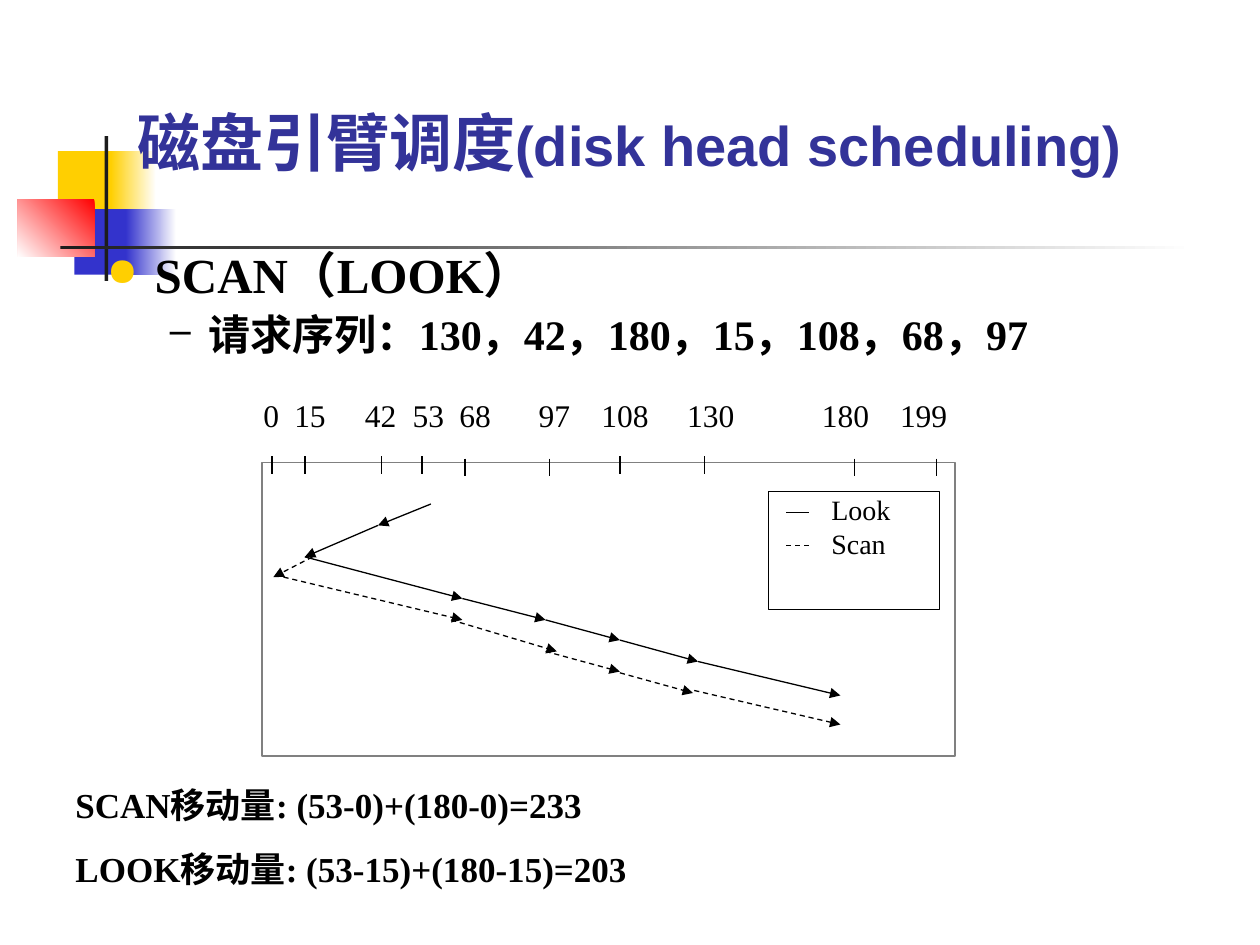
import dataclasses
import itertools

import lxml.etree
import pptx
import pptx.dml.color
import pptx.enum.dml
import pptx.enum.shapes
import pptx.enum.text
import pptx.oxml.ns
import pptx.util

Inches = pptx.util.Inches
Pt = pptx.util.Pt
Align = pptx.enum.text.PP_ALIGN


@dataclasses.dataclass(frozen=True)
class Theme:
    head: str = "Arial"
    body: str = "Times New Roman"
    ink: str = "000000"
    title: str = "333399"
    gold: str = "FFCF01"
    blue: str = "3333CC"
    red: str = "FF0000"
    dark: str = "1C1C1C"
    white: str = "FFFFFF"
    frame: str = "808080"
    big: int = 36
    large: int = 32
    item: int = 28
    sub: int = 24
    note: int = 20
    scale: int = 18
    key: int = 16
    thin: float = 0.75


def color(code):
    return pptx.dml.color.RGBColor.from_string(code)


def child(node, tag, **attrs):
    return lxml.etree.SubElement(node, pptx.oxml.ns.qn(tag), attrs)


def write(para, text, size, font=Theme.body, ink=Theme.ink, bold=False,
          align=None, before=0, lead=None, left=0, hang=0, mark=None, tabs=()):
    """Add a run to para; mark is (char, colour, percent), tabs are centred stops."""
    props = para._p.get_or_add_pPr()
    if left:
        props.set("marL", str(Inches(left)))
        props.set("indent", str(-Inches(hang)))
    if mark:
        char, tint, part = mark
        child(child(props, "a:buClr"), "a:srgbClr", val=tint)
        child(props, "a:buSzPct", val=str(part * 1000))
        child(props, "a:buChar", char=char)
    if tabs:
        stops = child(props, "a:tabLst")
        for stop in tabs:
            child(stops, "a:tab", pos=str(Inches(stop)), algn="ctr")
    if align is not None:
        para.alignment = align
    if before:
        para.space_before = Pt(before)
    if lead:
        para.line_spacing = lead
    run = para.add_run()
    run.text = text
    run.font.name = font
    run.font.size = Pt(size)
    run.font.bold = bold
    run.font.color.rgb = color(ink)


class Deck:
    """Holds the theme and the current slide."""

    def __init__(self):
        self.theme = Theme()
        self.show = pptx.Presentation()
        self.show.slide_width = Inches(10)
        self.show.slide_height = Inches(7.5)
        self.slide = self.show.slides.add_slide(self.show.slide_layouts[5])

    def rect(self, box, fill=None, fade=None, angle=0, line=None):
        shape = self.slide.shapes.add_shape(
            pptx.enum.shapes.MSO_SHAPE.RECTANGLE, *map(Inches, box))
        shape.shadow.inherit = False
        if fade:
            shape.fill.gradient()
            shape.fill.gradient_angle = angle
            for stop, code in zip(shape.fill.gradient_stops, fade):
                stop.color.rgb = color(code)
        elif fill:
            shape.fill.solid()
            shape.fill.fore_color.rgb = color(fill)
        else:
            shape.fill.background()
        if line:
            shape.line.color.rgb = color(line)
            shape.line.width = Pt(self.theme.thin)
        else:
            shape.line.fill.background()
        return shape

    def line(self, start, end, dash=False, arrow=False):
        link = self.slide.shapes.add_connector(
            pptx.enum.shapes.MSO_CONNECTOR.STRAIGHT, *map(Inches, (*start, *end)))
        link.line.color.rgb = color(self.theme.ink)
        link.line.width = Pt(self.theme.thin)
        if dash:
            link.line.dash_style = pptx.enum.dml.MSO_LINE.DASH
        if arrow:
            child(link.line._get_or_add_ln(), "a:tailEnd", type="triangle")
        child(link._element.spPr, "a:effectLst")

    def frame(self, shape, inset=(0.1, 0.05, 0.1, 0.05), anchor="TOP"):
        frame = shape.text_frame
        frame.word_wrap = True
        frame.auto_size = pptx.enum.text.MSO_AUTO_SIZE.NONE
        frame.vertical_anchor = pptx.enum.text.MSO_ANCHOR[anchor]
        (frame.margin_left, frame.margin_top,
         frame.margin_right, frame.margin_bottom) = map(Inches, inset)
        return frame

    def text(self, box, **style):
        shape = self.slide.shapes.add_textbox(*map(Inches, box))
        return self.frame(shape, **style)

    def title(self, box):
        """Place the title in front of what has been drawn so far."""
        shape = self.slide.shapes.title
        shape.left, shape.top, shape.width, shape.height = map(Inches, box)
        self.slide.shapes._spTree.append(shape._element)
        return self.frame(shape, anchor="MIDDLE").paragraphs[0]


def decor(deck):
    t = deck.theme
    deck.rect((0.46, 1.2, 0.48, 0.52), fill=t.gold)
    deck.rect((0.88, 1.2, 0.36, 0.52), fade=(t.gold, t.white))
    deck.rect((0.59, 1.66, 0.46, 0.52), fill=t.blue)
    deck.rect((1, 1.66, 0.4, 0.52), fade=(t.blue, t.white))
    deck.rect((0.14, 1.58, 0.61, 0.46), fade=(t.red, t.white), angle=225)
    deck.rect((0.83, 1.08, 0.03, 1.15), fill=t.dark)
    deck.rect((0.48, 1.95, 9, 0.03), fade=(t.dark, t.white))


def words(deck):
    t = deck.theme
    head = deck.title((0.75, 0.5, 8.5, 1.25))
    for text, size in (("磁盘引臂调度", t.big), ("(disk head scheduling)", t.large)):
        write(head, text, size, font=t.head, ink=t.title, bold=True,
              align=Align.CENTER)

    body = deck.text((0.75, 1.94, 8.66, 0.89))
    write(body.paragraphs[0], "SCAN（LOOK）", t.item, bold=True, lead=0.9,
          left=0.38, hang=0.38, mark=("●", t.gold, 80))
    para = body.add_paragraph()
    para.level = 1
    write(para, "请求序列：130，42，180，15，108，68，97", t.sub, bold=True,
          before=6, lead=0.9, left=0.81, hang=0.31, mark=("–", t.ink, 90))

    sums = deck.text((0.5, 6.17, 9.08, 0.94))
    write(sums.paragraphs[0], "SCAN移动量: (53-0)+(180-0)=233", t.note, bold=True)
    write(sums.add_paragraph(), "LOOK移动量: (53-15)+(180-15)=203", t.note,
          bold=True, before=12.5)


def chart(deck):
    t = deck.theme
    deck.rect((2.08, 3.67, 5.5, 2.33), line=t.frame)
    tracks = (0, 15, 42, 53, 68, 97, 108, 130, 180, 199)
    stops = (0.37, 0.93, 1.31, 1.68, 2.31, 2.87, 3.55, 4.62, 5.24)
    scale = deck.text((2.07, 3.14, 5.49, 0.53), inset=(0.02, 0, 0.02, 0))
    write(scale.paragraphs[0], "\t".join(map(str, tracks)), t.scale, tabs=stops)

    ticks = (2.16, 2.42, 3.03, 3.35, 3.69, 4.36, 4.92, 5.59, 6.78, 7.43)
    for track, x in zip(tracks, ticks):
        top = 3.64 if track in (68, 97, 180, 199) else 3.62
        deck.line((x, top), (x, top + 0.14))

    look = ((3.42, 4), (3, 4.17), (2.42, 4.42), (3.67, 4.75), (4.33, 4.92),
            (4.92, 5.08), (5.54, 5.25), (6.67, 5.52))
    for start, end in itertools.pairwise(look):
        deck.line(start, end, arrow=True)
    scan = (((2.48, 4.42), (2.17, 4.58)), ((2.25, 4.58), (3.67, 4.92)),
            ((3.58, 4.92), (4.42, 5.17)), ((4.33, 5.17), (4.92, 5.33)),
            ((4.92, 5.34), (5.5, 5.5)), ((5.51, 5.48), (6.67, 5.75)))
    for start, end in scan:
        deck.line(start, end, dash=True, arrow=True)


def legend(deck):
    t = deck.theme
    box = deck.rect((6.1, 3.9, 1.36, 0.94), line=t.ink)
    frame = deck.frame(box, inset=(0.1, 0.01, 0.1, 0.05))
    paras = (frame.paragraphs[0], frame.add_paragraph())
    for para, name, y in zip(paras, ("Look", "Scan"), (4.07, 4.33)):
        write(para, name, t.key, align=Align.LEFT, left=0.4)
        deck.line((6.24, y), (6.42, y), dash=name == "Scan")


def main():
    deck = Deck()
    for draw in (decor, words, chart, legend):
        draw(deck)
    deck.show.save("out.pptx")


if __name__ == "__main__":
    main()
